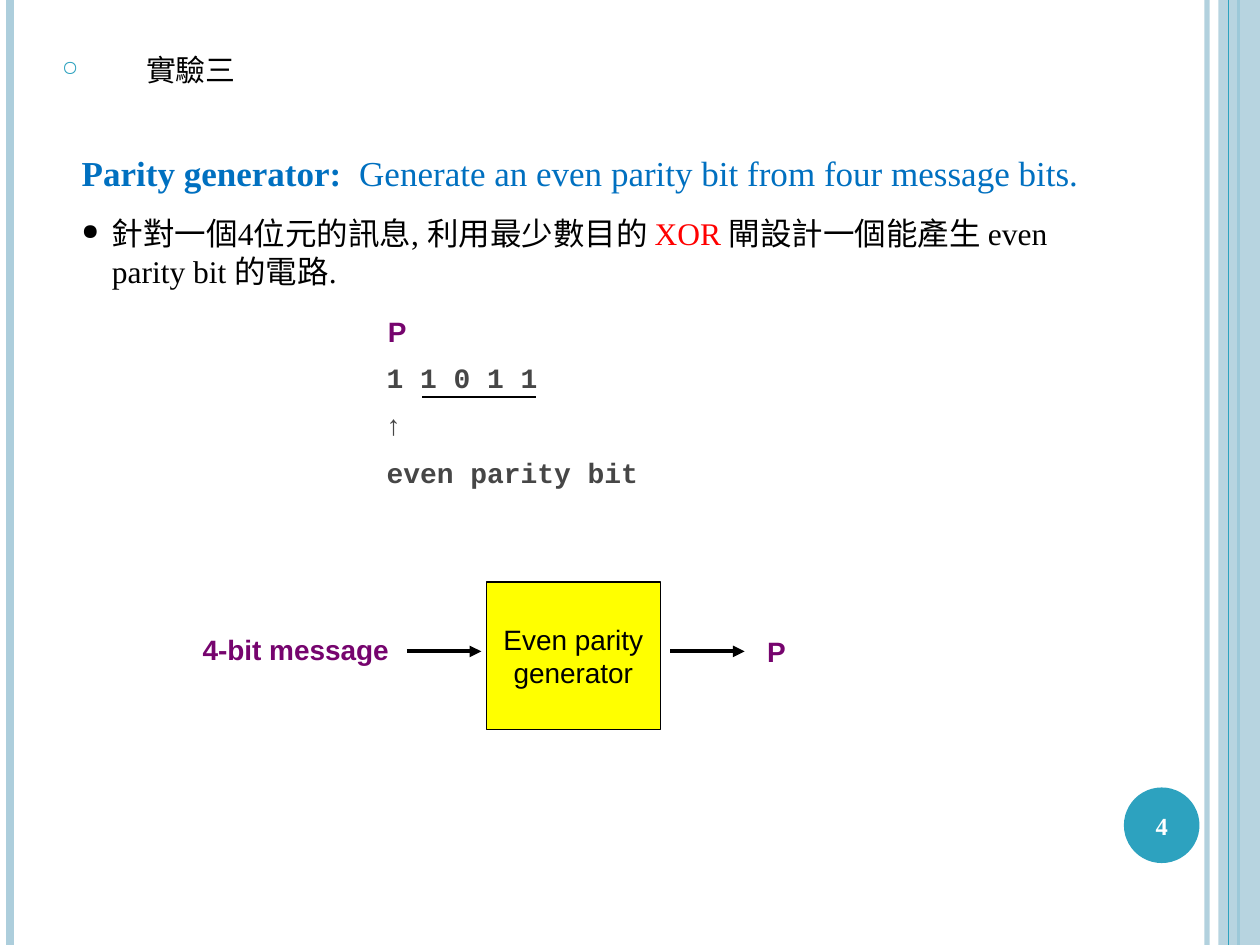
import pptx
import pptx.util
import pptx.dml.color
import pptx.enum.shapes
import pptx.enum.text
import pptx.oxml
import pptx.oxml.ns

Inches = pptx.util.Inches
Pt = pptx.util.Pt
Align = pptx.enum.text.PP_ALIGN
Anchor = pptx.enum.text.MSO_ANCHOR
Shape = pptx.enum.shapes.MSO_SHAPE
INK = {"pale": "ADCEDC", "teal": "2DA2BF", "blue": "0070C0", "red": "FF0000",
       "plum": "76046E", "gray": "464646", "black": "000000",
       "white": "FFFFFF", "yellow": "FFFF00"}


def color(name):
    """Return the named colour."""
    return pptx.dml.color.RGBColor.from_string(INK[name])


def node(tag, **attrs):
    """Make a drawing element with the given attributes."""
    item = pptx.oxml.parse_xml(f"<a:{tag} {pptx.oxml.ns.nsdecls('a')}/>")
    for key, value in attrs.items():
        item.set(key, str(value))
    return item


def fade(owner, percent):
    """Set the opacity of the solid fill found within an element."""
    tone = next(owner.iter(pptx.oxml.ns.qn("a:srgbClr")))
    tone.append(node("alpha", val=percent * 1000))


def bullet(para, char, ink, left, hang):
    """Give a paragraph a coloured bullet and a hanging indent."""
    props = para._p.get_or_add_pPr()
    props.set("marL", str(Inches(left)))
    props.set("indent", str(Inches(-hang)))
    tint = node("buClr")
    tint.append(node("srgbClr", val=INK[ink]))
    props.extend([tint, node("buSzPct", val=70000), node("buChar", char=char)])


def write(para, text, size, ink, face="Times New Roman", bold=False):
    """Add one formatted run to a paragraph."""
    run = para.add_run()
    run.text = text
    run.font.size = Pt(size)
    run.font.name = face
    run.font.bold = bold
    run.font.color.rgb = color(ink)


def textbox(slide, x, y, w, h, wrap=True):
    """Add a text box and return its frame."""
    frame = slide.shapes.add_textbox(Inches(x), Inches(y), Inches(w), Inches(h)).text_frame
    frame.word_wrap = wrap
    return frame


def label(slide, x, y, w, text):
    """Add a bold one-line label."""
    frame = textbox(slide, x, y, w, 0.37, wrap=False)
    write(frame.paragraphs[0], text, 16, "plum", "Arial", True)


def shape(slide, kind, x, y, w, h, fill):
    """Add a filled shape with no outline or shadow."""
    item = slide.shapes.add_shape(kind, Inches(x), Inches(y), Inches(w), Inches(h))
    item.shadow.inherit = False
    item.fill.solid()
    item.fill.fore_color.rgb = color(fill)
    item.line.fill.background()
    item.text_frame.word_wrap = True
    item.text_frame.vertical_anchor = Anchor.MIDDLE
    item.text_frame.paragraphs[0].alignment = Align.CENTER
    return item


def line(slide, x1, y1, x2, y2, ink, width, arrow=False):
    """Add a straight line, with an arrowhead on request."""
    item = slide.shapes.add_connector(pptx.enum.shapes.MSO_CONNECTOR.STRAIGHT,
                                      Inches(x1), Inches(y1), Inches(x2), Inches(y2))
    item.line.color.rgb = color(ink)
    item.line.width = Pt(width)
    if arrow:
        item.line._get_or_add_ln().append(node("tailEnd", type="triangle"))
    item._element.spPr.append(node("effectLst"))
    return item


def frame(slide, w, h):
    """Draw the side stripes and the page badge."""
    edge = line(slide, w - 0.42, 0, w - 0.42, h, "pale", 3)
    fade(edge._element.spPr, 93)
    line(slide, 0.08, 0, 0.08, h, "pale", 4.5)
    line(slide, w - 0.17, 0, w - 0.17, h, "teal", 1.5)
    band = shape(slide, Shape.RECTANGLE, w - 0.33, 0, 0.33, h, "pale")
    fade(band._element.spPr, 87)
    line(slide, w - 0.25, 0, w - 0.25, h, "teal", 0.75)
    badge = shape(slide, Shape.OVAL, w - 1.08, h - 1.25, 0.6, 0.6, "teal")
    write(badge.text_frame.paragraphs[0], "4", 14, "white", bold=True)


def title(slide, x, y, w, h):
    """Place the bulleted slide title."""
    item = slide.shapes.title
    item.left, item.top, item.width, item.height = map(Inches, (x, y, w, h))
    item.text_frame.vertical_anchor = Anchor.TOP
    para = item.text_frame.paragraphs[0]
    para.alignment = Align.LEFT
    bullet(para, "○", "teal", 0.67, 0.67)
    write(para, "實驗三", 17.1, "black")


def task(slide, x, y, w, h):
    """Place the heading and the description of the task."""
    body = textbox(slide, x, y, w, h)
    head = body.paragraphs[0]
    write(head, "Parity generator:  ", 20, "blue", bold=True)
    write(head, "Generate an even parity bit from four message bits.", 20, "blue")
    para = body.add_paragraph()
    para.space_before = Pt(12)
    bullet(para, "●", "black", 0.24, 0.24)
    for text, ink in (("針對一個4位元的訊息, 利用最少數目的 ", "black"), ("XOR ", "red"),
                      ("閘設計一個能產生 even parity bit 的電路.", "black")):
        write(para, text, 18, ink)


def sample(slide, x, y):
    """Show a message with its parity bit marked."""
    body = textbox(slide, x, y + 0.39, 4, 1.1)
    rows = (("1 1 0 1 1", "Courier New"), ("↑", "Arial"), ("even parity bit", "Courier New"))
    for i, (text, face) in enumerate(rows):
        para = body.add_paragraph() if i else body.paragraphs[0]
        para.line_spacing = 0.9
        para.space_before = Pt(10)
        write(para, text, 16, "gray", face, True)
    line(slide, x + 0.38, y + 0.7, x + 1.28, y + 0.7, "black", 1)
    label(slide, x + 0.01, y, 0.35, "P")


def block(slide, x, y):
    """Draw the generator block with its input and output."""
    box = shape(slide, Shape.RECTANGLE, x + 2.35, y, 1.38, 1.17, "yellow")
    box.line.color.rgb = color("black")
    box.line.width = Pt(0.75)
    write(box.text_frame.paragraphs[0], "Even parity generator", 16, "black", "Arial")
    for left in (x + 1.72, x + 3.81):
        line(slide, left, y + 0.55, left + 0.59, y + 0.55, "black", 2.25, arrow=True)
    label(slide, x, y + 0.35, 1.68, "4-bit message")
    label(slide, x + 4.48, y + 0.37, 0.35, "P")


def main():
    """Build and save the slide."""
    deck = pptx.Presentation()
    deck.slide_width, deck.slide_height = Inches(10), Inches(7.5)
    slide = deck.slides.add_slide(deck.slide_layouts[5])
    frame(slide, 10, 7.5)
    title(slide, 0.39, 0.36, 8.17, 0.79)
    task(slide, 0.55, 1.15, 8.15, 1.2)
    sample(slide, 2.97, 2.45)
    block(slide, 1.51, 4.62)
    deck.save("out.pptx")


if __name__ == "__main__":
    main()
